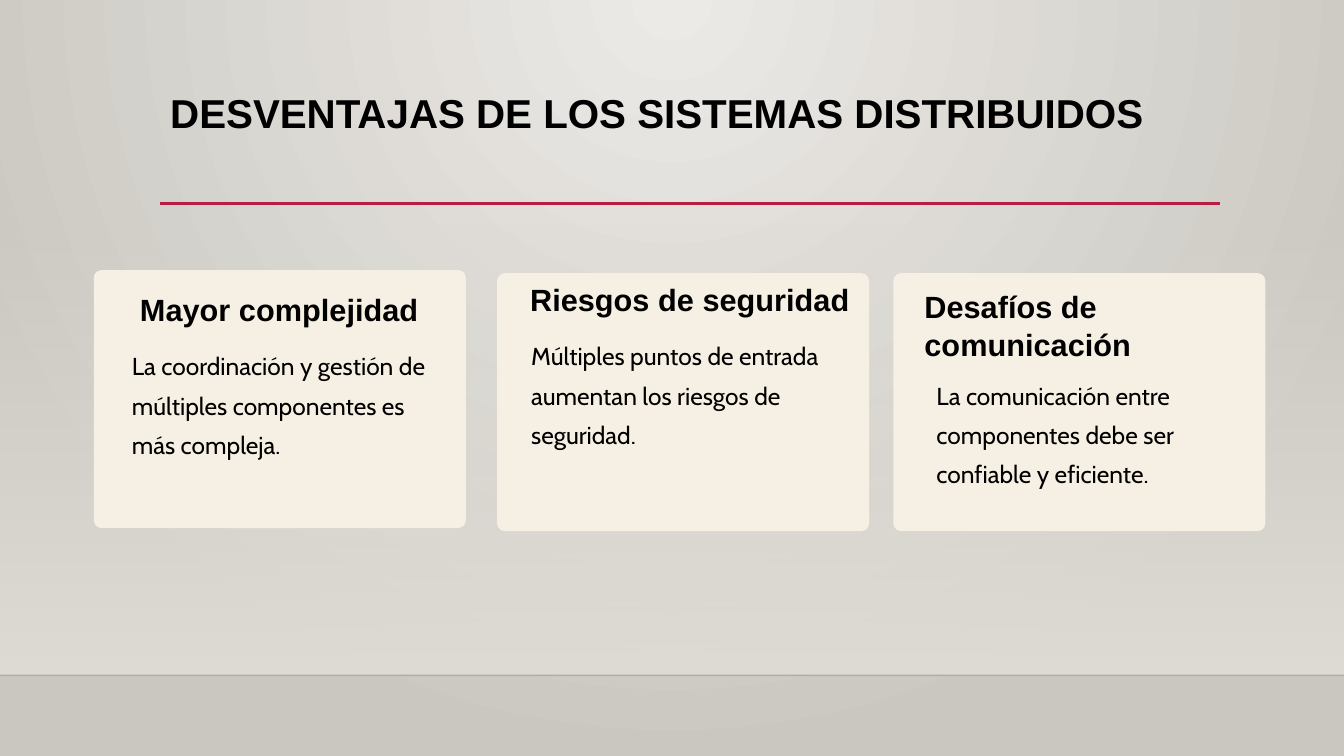
import pptx
import pptx.util
import pptx.dml.color
import pptx.enum.shapes
import pptx.oxml
import pptx.oxml.ns
from lxml import etree

Inches = pptx.util.Inches
Pt = pptx.util.Pt
qn = pptx.oxml.ns.qn
SHAPE = pptx.enum.shapes.MSO_SHAPE


def rgb(hex_color):
    return pptx.dml.color.RGBColor.from_string(hex_color)


def add_text(text, left, top, width, height, font, size, bold, spacing):
    tf = s.shapes.add_textbox(Inches(left), Inches(top), Inches(width), Inches(height)).text_frame
    tf.word_wrap = True
    p = tf.paragraphs[0]
    p.line_spacing = spacing
    r = p.add_run()
    r.text = text
    r.font.name = font
    r.font.size = Pt(size)
    r.font.bold = bold
    r.font.color.rgb = rgb("000000")


prs = pptx.Presentation()
prs.slide_width = Inches(13.33)
prs.slide_height = Inches(7.5)
s = prs.slides.add_slide(prs.slide_layouts[6])

# Background: light spot at the top centre
fill = s.background.fill
fill.gradient()
for stop, color in zip(fill.gradient_stops, ("ECEAE7", "CAC7C1")):
    stop.color.rgb = rgb(color)
grad = s.element.find(".//" + qn("a:gradFill"))
grad.remove(grad.find(qn("a:lin")))
circle = etree.SubElement(grad, qn("a:path"), {"path": "circle"})
etree.SubElement(circle, qn("a:fillToRect"), l="43000", t="0", r="43000", b="100000")

# Wall that fades in towards the floor
wall = s.shapes.add_shape(SHAPE.RECTANGLE, 0, Inches(2.21), Inches(13.33), Inches(4.49))
wall.shadow.inherit = False
wall.line.fill.background()
wall.fill.gradient()
wall.fill.gradient_angle = 270
for stop in wall.fill.gradient_stops:
    stop.color.rgb = rgb("DFDBD5")
clear = wall.element.find(".//" + qn("a:srgbClr"))
etree.SubElement(clear, qn("a:alpha"), val="0")

# Floor edge and title rule
for x1, x2, y, color, weight, opacity in (
    (0, 13.33, 6.7, "000001", 1, 20),
    (1.59, 12.1, 2.02, "B71E42", 2.5, 100),
):
    line = s.shapes.add_connector(pptx.enum.shapes.MSO_CONNECTOR.STRAIGHT,
                                  Inches(x1), Inches(y), Inches(x2), Inches(y))
    line.line.color.rgb = rgb(color)
    line.line.width = Pt(weight)
    if opacity < 100:
        ink = line.element.find(".//" + qn("a:srgbClr"))
        etree.SubElement(ink, qn("a:alpha"), val=str(opacity * 1000))
    etree.SubElement(line.element.spPr, qn("a:effectLst"))

# Title
add_text("DESVENTAJAS DE LOS SISTEMAS DISTRIBUIDOS",
         1.59, 0.88, 10.5, 1.15, "Arial", 28.8, True, 0.9)

# Cards: corner, then heading and body with their boxes
cards = (
    (0.93, 2.68,
     "Mayor complejidad", (1.29, 2.82, 3.04, 0.38),
     "La coordinación y gestión de múltiples componentes es más compleja.", (1.21, 3.34)),
    (4.93, 2.71,
     "Riesgos de seguridad", (5.16, 2.72, 3.4, 0.38),
     "Múltiples puntos de entrada aumentan los riesgos de seguridad.", (5.17, 3.24)),
    (8.86, 2.71,
     "Desafíos de comunicación", (9.07, 2.79, 3.2, 0.76),
     "La comunicación entre componentes debe ser confiable y eficiente.", (9.19, 3.63)),
)
for left, top, heading, heading_box, body, body_corner in cards:
    card = s.shapes.add_shape(SHAPE.ROUNDED_RECTANGLE, Inches(left), Inches(top),
                              Inches(3.69), Inches(2.56))
    card.adjustments[0] = 0.03
    card.shadow.inherit = False
    card.fill.solid()
    card.fill.fore_color.rgb = rgb("F6F0E4")
    card.line.fill.background()
    add_text(heading, *heading_box, "Arial", 21.9, True, Pt(27.3))
    add_text(body, *body_corner, 3.2, 1.17, "Cabin", 17.5, False, Pt(28))

prs.save("out.pptx")
